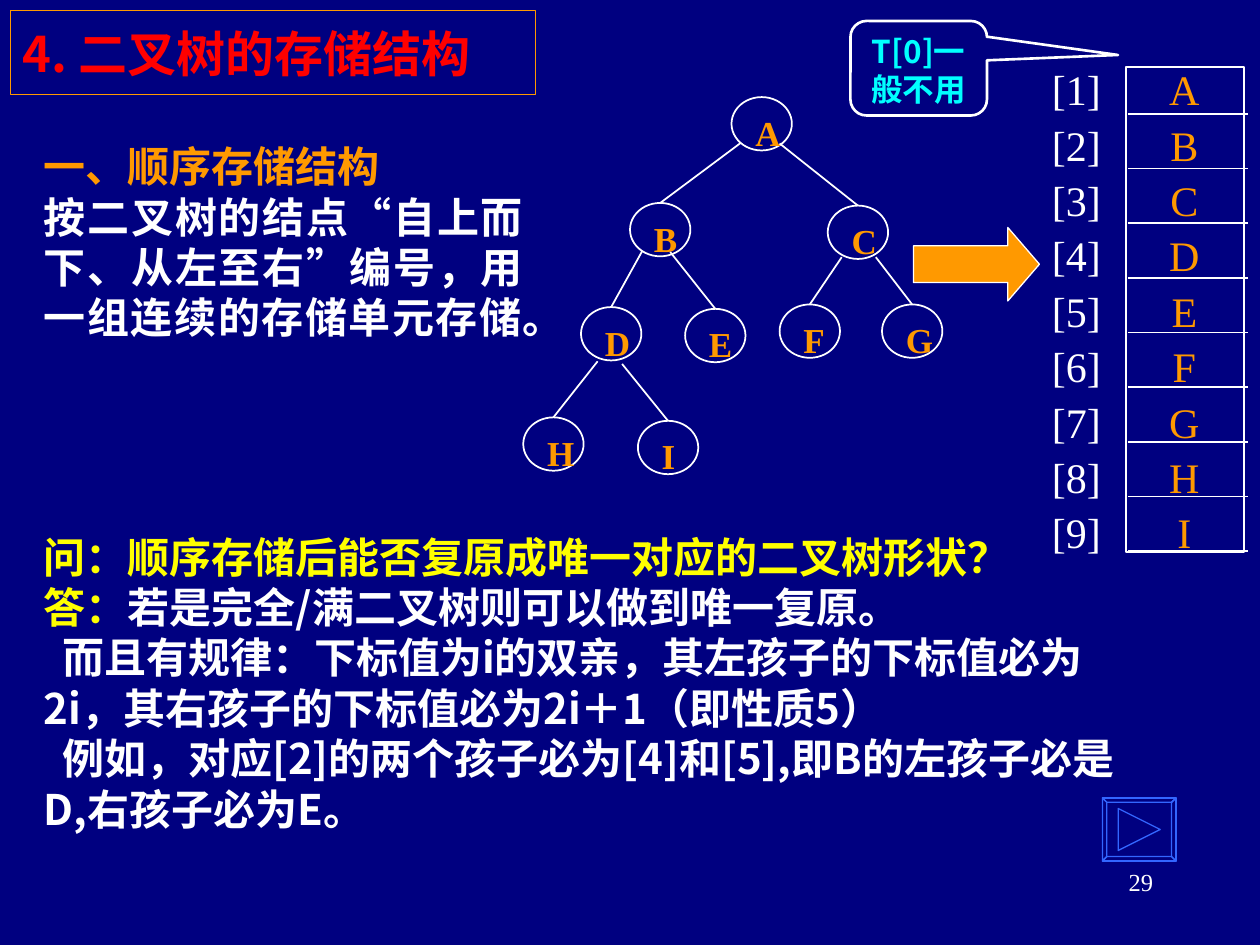
from dataclasses import dataclass

from lxml.etree import SubElement
from pptx import Presentation
from pptx.dml.color import RGBColor
from pptx.enum.shapes import MSO_CONNECTOR, MSO_SHAPE
from pptx.enum.text import MSO_ANCHOR, PP_ALIGN
from pptx.oxml.ns import qn
from pptx.util import Pt


@dataclass(frozen=True)
class Theme:
    navy: str = "000080"
    orange: str = "FF9900"
    white: str = "FFFFFF"
    red: str = "FF0000"
    yellow: str = "FFFF00"
    cyan: str = "00FFFF"
    blue: str = "3366FF"
    title: int = 28
    body: int = 24
    node: int = 20
    callout: int = 18
    page: int = 14
    serif: str = "Times New Roman"
    sans: str = "Noto Sans CJK SC"


THEME = Theme()


@dataclass(frozen=True)
class Box:
    left: float
    top: float
    width: float
    height: float

    def lengths(self) -> tuple:
        return Pt(self.left), Pt(self.top), Pt(self.width), Pt(self.height)


@dataclass(frozen=True)
class Span:
    text: str
    color: str
    size: int = THEME.body
    font: str = THEME.sans
    bold: bool = True


@dataclass(frozen=True)
class Para:
    spans: tuple
    align: PP_ALIGN = PP_ALIGN.LEFT
    spacing: float = 1.0
    indent: float = 0


@dataclass(frozen=True)
class Node:
    label: str
    left: float
    top: float
    edge_start: tuple = ()


def apply(target, values: dict) -> None:
    for name, value in values.items():
        setattr(target, name, value)


def write(frame, paras: list, anchor=MSO_ANCHOR.TOP) -> None:
    apply(frame, {
        "word_wrap": True, "vertical_anchor": anchor,
        "margin_left": Pt(7.2), "margin_right": Pt(7.2),
        "margin_top": Pt(3.6), "margin_bottom": Pt(3.6),
    })
    for index, para in enumerate(paras):
        line = frame.add_paragraph() if index else frame.paragraphs[0]
        apply(line, {"alignment": para.align, "line_spacing": para.spacing})
        if para.indent:
            line._p.get_or_add_pPr().set("indent", str(Pt(para.indent)))
        for span in para.spans:
            run = line.add_run()
            run.text = span.text
            apply(run.font, {"size": Pt(span.size), "bold": span.bold, "name": span.font})
            run.font.color.rgb = RGBColor.from_string(span.color)
            SubElement(run._r.get_or_add_rPr(), qn("a:ea")).set("typeface", THEME.sans)


def text(slide, box: Box, paras: list, anchor=MSO_ANCHOR.TOP) -> None:
    write(slide.shapes.add_textbox(*box.lengths()).text_frame, paras, anchor)


def paint(outline, line: str, weight: float, fill: str = "") -> None:
    outline.shadow.inherit = False
    outline.line.color.rgb = RGBColor.from_string(line)
    outline.line.width = Pt(weight)
    if fill:
        outline.fill.solid()
        outline.fill.fore_color.rgb = RGBColor.from_string(fill)
    else:
        outline.fill.background()


def preset(slide, kind, box: Box, line: str, weight: float, fill: str = "", adjust=()):
    outline = slide.shapes.add_shape(kind, *box.lengths())
    paint(outline, line, weight, fill)
    for index, value in enumerate(adjust):
        outline.adjustments[index] = value
    return outline


def rule(slide, start: tuple, end: tuple):
    stroke = slide.shapes.add_connector(
        MSO_CONNECTOR.STRAIGHT, *(Pt(v) for v in start + end))
    stroke.line.color.rgb = RGBColor.from_string(THEME.white)
    stroke.line.width = Pt(1)
    SubElement(stroke._element.spPr, qn("a:effectLst"))
    return stroke


def tree_node(slide, node: Node) -> None:
    circle = preset(slide, MSO_SHAPE.OVAL, Box(node.left, node.top, 34.5, 30.5), THEME.white, 1)
    text(slide, Box(node.left + 6.5, node.top + 4.5, 32, 31),
         [Para((Span(node.label, THEME.orange, THEME.node, THEME.serif),))])
    if node.edge_start:
        edge = rule(slide, node.edge_start, (node.left + 17.25, node.top))
        edge.end_connect(circle, 0)


def column(slide, box: Box, entries: list, color: str, align: PP_ALIGN) -> None:
    text(slide, box, [
        Para((Span(entry, color, font=THEME.serif, bold=False),), align, 1.1)
        for entry in entries])


def next_button(slide, box: Box, bevel: float) -> None:
    right, bottom = box.left + box.width, box.top + box.height
    outer = [(box.left, box.top), (right, box.top), (right, bottom), (box.left, bottom)]
    inner = [(box.left + bevel, box.top + bevel), (right - bevel, box.top + bevel),
             (right - bevel, bottom - bevel), (box.left + bevel, bottom - bevel)]
    middle = box.top + box.height / 2
    arrow = [(box.left + 9, middle - 12), (right - 9, middle), (box.left + 9, middle + 12)]
    sides = [[outer[i], outer[(i + 1) % 4], inner[(i + 1) % 4], inner[i]] for i in range(4)]
    builder = slide.shapes.build_freeform(Pt(box.left), Pt(box.top))
    for contour in [outer, *sides, arrow]:
        points = [(Pt(x), Pt(y)) for x, y in contour]
        builder.move_to(*points[0])
        builder.add_line_segments(points[1:], close=True)
    paint(builder.convert_to_shape(), THEME.blue, 0.75)


NODES = [
    Node("A", 418, 55.5),
    Node("B", 360, 116, (423.5, 81.5)),
    Node("C", 473, 117.5, (445.5, 82)),
    Node("D", 332, 175.5, (367, 143.5)),
    Node("E", 391.5, 176.5, (383, 144)),
    Node("F", 445.5, 174, (481, 147)),
    Node("G", 504, 174, (500.5, 147)),
    Node("H", 299, 238.5, (341.5, 206.5)),
    Node("I", 364.5, 240.5, (355.5, 208)),
]


def main() -> None:
    deck = Presentation()
    apply(deck, {"slide_width": Pt(720), "slide_height": Pt(540)})
    slide = deck.slides.add_slide(deck.slide_layouts[6])
    slide.background.fill.solid()
    slide.background.fill.fore_color.rgb = RGBColor.from_string(THEME.navy)

    # Title and introduction
    title = preset(slide, MSO_SHAPE.RECTANGLE, Box(6, 6, 300, 48), THEME.orange, 0.75, THEME.navy)
    write(title.text_frame, [Para((Span("4. 二叉树的存储结构", THEME.red, THEME.title),))],
          MSO_ANCHOR.MIDDLE)
    text(slide, Box(18, 66, 288, 144), [
        Para((Span("一、顺序存储结构", THEME.orange, font=THEME.serif),)),
        Para((Span("按二叉树的结点“自上而下、从左至右”编号，用一组连续的存储单元存储。",
                   THEME.white),), PP_ALIGN.JUSTIFY),
    ], MSO_ANCHOR.MIDDLE)

    # Storage array
    column(slide, Box(661, 30, 31.5, 292), [node.label for node in NODES],
           THEME.orange, PP_ALIGN.CENTER)
    preset(slide, MSO_SHAPE.RECTANGLE, Box(643.5, 38.5, 67.5, 277), THEME.white, 1)
    column(slide, Box(594, 30, 44, 292), [f"[{i + 1}]" for i in range(len(NODES))],
           THEME.white, PP_ALIGN.LEFT)
    for row in range(len(NODES)):
        y = 65 + 31.25 * row
        rule(slide, (644.5, y), (713, y))

    # Binary tree
    for node in NODES:
        tree_node(slide, node)

    # Arrow from tree to array, and the next button
    preset(slide, MSO_SHAPE.RIGHT_ARROW, Box(522, 130, 72, 42), THEME.white, 0.75,
           THEME.orange, (0.5, 0.43))
    next_button(slide, Box(630, 456, 42, 36), 2.5)

    # Question and answer
    text(slide, Box(18, 300, 648, 180), [
        Para((Span("问：顺序存储后能否复原成唯一对应的二叉树形状？", THEME.yellow, font=THEME.serif),)),
        Para((Span("答：", THEME.yellow),
              Span("若是完全/满二叉树则可以做到唯一复原。", THEME.white))),
        Para((Span("而且有规律：下标值为i的双亲，其左孩子的下标值必为2i，"
                   "其右孩子的下标值必为2i＋1（即性质5）", THEME.white),), indent=10.5),
        Para((Span("例如，对应[2]的两个孩子必为[4]和[5],即B的左孩子必是D,右孩子必为E。",
                   THEME.white),), indent=10.5),
    ])

    # Callout and page number
    callout = preset(slide, MSO_SHAPE.ROUNDED_RECTANGULAR_CALLOUT, Box(486, 12, 78, 54),
                     THEME.white, 1.5, adjust=(1.46, -0.14, 0.17))
    write(callout.text_frame,
          [Para((Span("T[0]一般不用", THEME.cyan, THEME.callout),), PP_ALIGN.CENTER)])
    text(slide, Box(516, 492, 150, 36),
         [Para((Span("29", THEME.white, THEME.page, THEME.serif, False),), PP_ALIGN.RIGHT)])

    deck.save("out.pptx")


if __name__ == "__main__":
    main()
